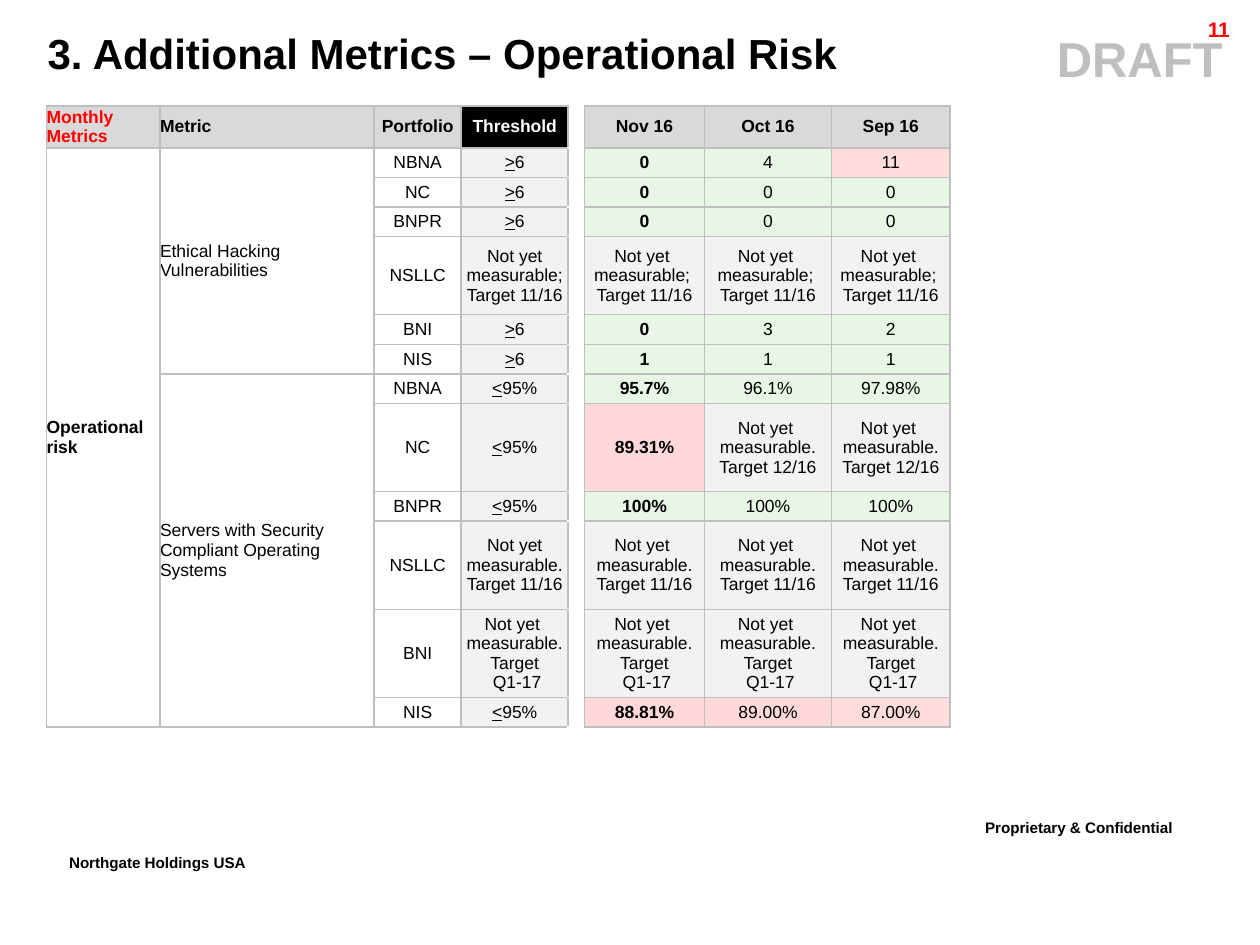
import pptx
import pptx.util
import pptx.dml.color
import pptx.enum.text
import pptx.oxml
import lxml.etree

Inches, Pt = pptx.util.Inches, pptx.util.Pt
RGBColor = pptx.dml.color.RGBColor
ALIGN = pptx.enum.text.PP_ALIGN
MIDDLE = pptx.enum.text.MSO_ANCHOR.MIDDLE
NS = "http://schemas.openxmlformats.org/drawingml/2006/main"

BLACK = RGBColor(0x00, 0x00, 0x00)
WHITE = RGBColor(0xFF, 0xFF, 0xFF)
RED = RGBColor(0xFF, 0x00, 0x00)
SILVER = RGBColor(0xBF, 0xBF, 0xBF)
HEADER_GREY = RGBColor(0xD9, 0xD9, 0xD9)
PENDING_GREY = RGBColor(0xF2, 0xF2, 0xF2)
MET_GREEN = RGBColor(0xE8, 0xF6, 0xE6)
BREACH_RED = RGBColor(0xFF, 0xD9, 0xD9)
BREACH_RED_OLDEST = RGBColor(0xFF, 0xDD, 0xDD)

# text, (left, top, width, height), size, colour, paragraph alignment, superscript
LABELS = [
    ("Proprietary & Confidential", (7.72, 6.42, 2.18, 0.35), 15, BLACK, ALIGN.LEFT, True),
    ("Northgate Holdings USA", (0.45, 6.7, 1.91, 0.35), 15, BLACK, ALIGN.LEFT, True),
    ("DRAFT", (1.15, 0.18, 8.79, 0.57), 28, SILVER, ALIGN.CENTER, False),
    ("11", (8.91, 0.11, 0.95, 0.24), 12, RED, ALIGN.RIGHT, False),
    ("3. Additional Metrics – Operational Risk", (0.28, 0.17, 9.35, 0.5), 24, BLACK,
     ALIGN.LEFT, False),
]

# header, column width, fill, text colour (None marks the gap column)
COLUMNS = [
    ("Monthly Metrics", 0.9, HEADER_GREY, RED),
    ("Metric", 1.7, HEADER_GREY, BLACK),
    ("Portfolio", 0.69, HEADER_GREY, BLACK),
    ("Threshold", 0.85, BLACK, WHITE),
    (None, 0.13, None, None),
    ("Nov 16", 0.95, HEADER_GREY, BLACK),
    ("Oct 16", 1.01, HEADER_GREY, BLACK),
    ("Sep 16", 0.94, HEADER_GREY, BLACK),
]
PORTFOLIO, THRESHOLD, GAP, NEWEST, OLDEST = 2, 3, 4, 5, 7

NOV_SPLIT = "Not yet \nmeasurable; \nTarget 11/16"
NOV = "Not yet \nmeasurable. Target 11/16"
DEC = "Not yet \nmeasurable. Target 12/16"
Q1 = "Not yet \nmeasurable. Target\n Q1-17"

# metric: rows of portfolio, threshold, Nov, Oct, Sep
METRICS = {
    "Ethical Hacking Vulnerabilities": [
        ("NBNA", ">6", "0", "4", "11"),
        ("NC", ">6", "0", "0", "0"),
        ("BNPR", ">6", "0", "0", "0"),
        ("NSLLC", "Not yet measurable; Target 11/16", NOV_SPLIT, NOV_SPLIT, NOV_SPLIT),
        ("BNI", ">6", "0", "3", "2"),
        ("NIS", ">6", "1", "1", "1"),
    ],
    "Servers with Security Compliant Operating Systems": [
        ("NBNA", "<95%", "95.7%", "96.1%", "97.98%"),
        ("NC", "<95%", "89.31%", DEC, DEC),
        ("BNPR", "<95%", "100%", "100%", "100%"),
        ("NSLLC", "Not yet measurable. Target 11/16", NOV, NOV, NOV),
        ("BNI", Q1, Q1, Q1, Q1),
        ("NIS", "<95%", "88.81%", "89.00%", "87.00%"),
    ],
}
TABLE_AT = (0.37, 0.84, 7.16, 4.93)
TALL_ROWS = {0: 0.33, 4: 0.62, 8: 0.7, 10: 0.7, 11: 0.7}


def format_run(run, size, color, bold):
    run.font.name, run.font.size = "Arial", Pt(size)
    run.font.color.rgb, run.font.bold = color, bold


def add_label(slide, text, at, size, color, align, superscript):
    frame = slide.shapes.add_textbox(*map(Inches, at)).text_frame
    frame.word_wrap = True
    frame.text = text
    line = frame.paragraphs[0]
    line.alignment = align
    format_run(line.runs[0], size, color, True)
    if superscript:
        line.runs[0].font._element.set("baseline", "30000")
    if text == "DRAFT":
        properties = line._p.get_or_add_pPr()
        properties.set("marL", str(Inches(7)))
        properties.set("indent", "0")
    if align == ALIGN.RIGHT:
        line.line_spacing = 0.86


def prepare_cell(cell, fill, sides):
    """Set margins, fill and borders, and keep empty text small."""
    cell.margin_left = cell.margin_right = cell.margin_top = cell.margin_bottom = 0
    cell.vertical_anchor = MIDDLE
    if fill is None:
        cell.fill.background()
    else:
        cell.fill.solid()
        cell.fill.fore_color.rgb = fill
    properties = cell._tc.get_or_add_tcPr()
    for place, side in enumerate(sides):
        properties.insert(place, pptx.oxml.parse_xml(
            f'<a:ln{side} xmlns:a="{NS}" w="{Pt(1)}"><a:solidFill>'
            f'<a:srgbClr val="{SILVER}"/></a:solidFill></a:ln{side}>'))
    if not cell.text_frame.text:
        lxml.etree.SubElement(cell.text_frame.paragraphs[0]._p,
                              f"{{{NS}}}endParaRPr", sz="1000")


def write_cell(cell, text, align, color=BLACK, bold=False):
    frame = cell.text_frame
    if text[0] in "<>":
        for part in (text[0], text[1:]):
            frame.paragraphs[0].add_run().text = part
        frame.paragraphs[0].runs[0].font.underline = True
    else:
        frame.text = text
    for line in frame.paragraphs:
        line.alignment = align
        if len(frame.paragraphs) == 1:
            line.space_before = line.space_after = Pt(2)
        for run in line.runs:
            format_run(run, 10, color, bold)


def value_fill(value, threshold, column):
    """Grey when not measured, red when the threshold is reached, else green."""
    if value.startswith("Not yet"):
        return PENDING_GREY
    number, limit = float(value.rstrip("%")), float(threshold[1:].rstrip("%"))
    if number >= limit if threshold[0] == ">" else number <= limit:
        return BREACH_RED_OLDEST if column == OLDEST else BREACH_RED
    return MET_GREEN


def add_metrics_table(slide):
    rows = [(metric, *row) for metric, group in METRICS.items() for row in group]
    table = slide.shapes.add_table(len(rows) + 1, len(COLUMNS),
                                   *map(Inches, TABLE_AT)).table
    table.first_row = table.horz_banding = False
    short_row = (TABLE_AT[3] - sum(TALL_ROWS.values())) / (len(rows) + 1 - len(TALL_ROWS))
    for index, row in enumerate(table.rows):
        row.height = Inches(TALL_ROWS.get(index, short_row))

    fills = {}
    for column, (header, width, fill, color) in enumerate(COLUMNS):
        table.columns[column].width = Inches(width)
        fills[0, column] = fill
        if header:
            align = ALIGN.LEFT if column < PORTFOLIO else ALIGN.CENTER
            write_cell(table.cell(0, column), header, align, color, True)

    write_cell(table.cell(1, 0), "Operational risk", ALIGN.LEFT, bold=True)
    table.cell(1, 0).merge(table.cell(len(rows), 0))
    first = 1
    for metric, group in METRICS.items():
        write_cell(table.cell(first, 1), metric, ALIGN.LEFT)
        table.cell(first, 1).merge(table.cell(first + len(group) - 1, 1))
        first += len(group)

    for index, (_, portfolio, threshold, *values) in enumerate(rows, 1):
        write_cell(table.cell(index, PORTFOLIO), portfolio, ALIGN.CENTER)
        write_cell(table.cell(index, THRESHOLD), threshold, ALIGN.CENTER)
        fills[index, THRESHOLD] = PENDING_GREY
        for column, value in enumerate(values, NEWEST):
            write_cell(table.cell(index, column), value, ALIGN.CENTER, bold=(
                column == NEWEST and not value.startswith("Not yet")))
            fills[index, column] = value_fill(value, threshold, column)

    for index in range(len(rows) + 1):
        for column in range(len(COLUMNS)):
            prepare_cell(table.cell(index, column), fills.get((index, column)),
                         "LR" if column == GAP else "LRTB")


def main():
    deck = pptx.Presentation()
    deck.slide_width, deck.slide_height = Inches(10), Inches(7.5)
    slide = deck.slides.add_slide(deck.slide_layouts[6])
    for label in LABELS:
        add_label(slide, *label)
    add_metrics_table(slide)
    deck.save("out.pptx")


if __name__ == "__main__":
    main()
